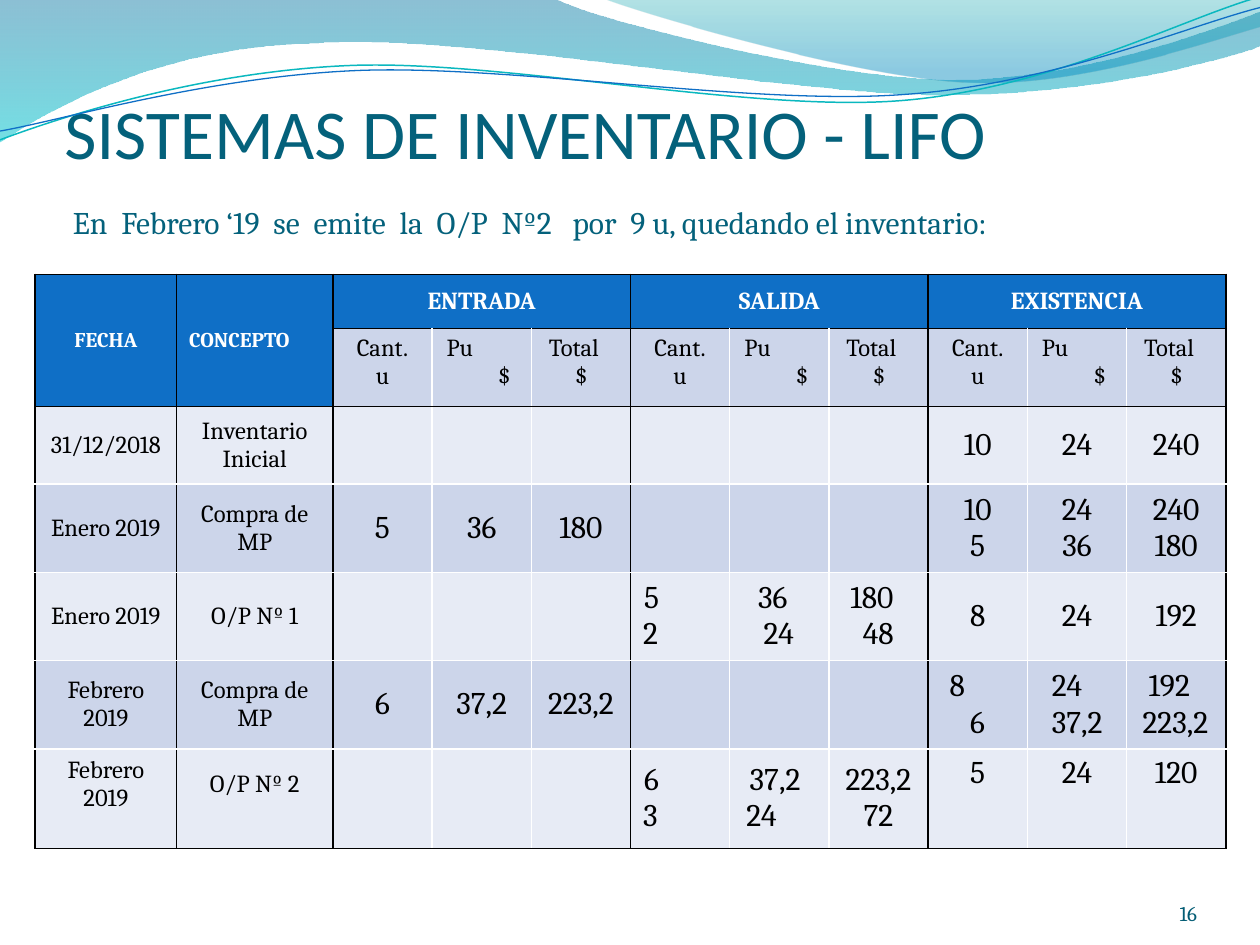
from dataclasses import dataclass
from math import cos, radians, sin

from pptx import Presentation
from pptx.dml.color import RGBColor
from pptx.enum import text as t
from pptx.oxml import ns, parse_xml
from pptx.util import Cm, Pt


@dataclass(frozen=True)
class Theme:
    heading_font: str = "Calibri"
    body_font: str = "Cambria"
    heading: str = "04617B"
    number: str = "045D75"
    header: str = "0F6FC6"
    band_dark: str = "CCD5EA"
    band_light: str = "E7EBF5"
    black: str = "000000"
    white: str = "FFFFFF"
    teal: str = "0AB8BF"
    title_size: int = 40
    large: int = 18
    medium: int = 14
    small: int = 12


THEME = Theme()
CENTER, LEFT, RIGHT = t.PP_ALIGN.CENTER, t.PP_ALIGN.LEFT, t.PP_ALIGN.RIGHT
TOP, MIDDLE, BOTTOM = t.MSO_ANCHOR.TOP, t.MSO_ANCHOR.MIDDLE, t.MSO_ANCHOR.BOTTOM

BROAD_WAVE = [(0, 0), (4.4, -0.01),
              (4.76, 0.17, 6.64, 0.63, 7.58, 0.63), (8.53, 0.63, 9.58, 0.26, 10, 0.09),
              (10.01, 0.36), (9.83, 0.44, 8.7, 0.76, 7.46, 0.75),
              (6.22, 0.75, 3.82, 0.28, 2.57, 0.34), (1.29, 0.36, 0.46, 0.83, -0.01, 1.13)]
RIGHT_WAVE = [(4.79, -0.01), (5.09, 0.11, 6.82, 0.62, 7.69, 0.65),
              (8.56, 0.69, 9.61, 0.32, 10, 0.21), (10, 0)]
TEAL_LINE = [(0, 1.11), (0.48, 0.93, 1.58, 0.57, 2.77, 0.52),
             (3.95, 0.47, 5.93, 0.89, 7.13, 0.8), (8.33, 0.71, 9.38, 0.15, 9.98, -0.02)]
BLUE_LINE = [(0, 1.04), (0.47, 0.96, 1.64, 0.61, 2.83, 0.56),
             (4.03, 0.51, 5.97, 0.84, 7.17, 0.75), (8.36, 0.67, 9.41, 0.21, 10, 0.06)]
RIBBON_TILT = -2.7
RIBBON_PIVOT = (4.99, 0.58)

COLUMN_WIDTHS = [2.85, 3.15] + [2] * 9
ROW_HEIGHTS = [1.09, 1.57, 1.57, 1.68, 1.4, 1.4, 1.4]
GROUP_STARTS, GROUP_ENDS = {0, 1, 2, 5, 8}, {0, 1, 4, 7, 10}
TAB_STOP = 1.15

UNITS = [["Cant.", "u"], [("Pu\v$", 0.04, 1.08)], [("Total\v$", 0.1, 0.63)]]
BLANK = [[], [], []]
INVENTORY = [
    [["FECHA"], [("CONCEPTO", 0, 0)], ["ENTRADA"], [], [], ["SALIDA"], [], [], ["EXISTENCIA"], [], []],
    [[], []] + UNITS * 3,
    [["31/12/2018"], ["Inventario Inicial"]] + BLANK * 2 + [["10"], ["24"], ["240"]],
    [["Enero 2019"], ["Compra de MP"], ["5"], ["36"], ["180"]] + BLANK
    + [["10", "5"], ["24", "36"], ["240", "180"]],
    [["Enero 2019"], ["O/P Nº 1"]] + BLANK
    + [[("5\t2", 0.02, 0)], [("36\v24", 0.32, 0.43)], [("180\v48", 0.18, 0.43)],
       ["8"], ["24"], ["192"]],
    [["Febrero 2019"], ["Compra de MP"], ["6"], ["37,2"], ["223,2"]] + BLANK
    + [[("8\v6", 0.18, 0.59)], [("24\v37,2", 0.24, 0.24)], [("192\v223,2", 0.19, 0.07)]],
    [["Febrero 2019"], ["O/P Nº 2"]] + BLANK
    + [[("6\t3", 0.02, 0)], [("37,2", 0.15, 0.15), ("24", 0.08, 0.08)], ["223,2", "72"],
       ["5"], ["24"], ["120"]],
]


def rgb(code):
    return RGBColor.from_string(code)


def style(paragraph, size, color, font=THEME.body_font, bold=False, align=LEFT):
    paragraph.alignment = align
    paragraph.font.name = font
    paragraph.font.size = Pt(size)
    paragraph.font.bold = bold
    paragraph.font.color.rgb = rgb(color)


def turn(point, degrees):
    angle = radians(degrees)
    dx, dy = (value - center for value, center in zip(point, RIBBON_PIVOT))
    return (RIBBON_PIVOT[0] + dx * cos(angle) - dy * sin(angle),
            RIBBON_PIVOT[1] + dx * sin(angle) + dy * cos(angle))


def add_curve(slide, box, segments, closed, tilt=0):
    left, top, width = box
    scale = width / 10
    points = []
    for segment in segments:
        for pair in zip(segment[::2], segment[1::2]):
            x, y = turn(pair, -tilt)
            points.append((Cm(left + x * scale), Cm(top + y * scale)))
    builder = slide.shapes.build_freeform(*points[0])
    builder.add_line_segments(points[1:], close=closed)
    curve = builder.convert_to_shape()
    vertices = iter(curve._element.xpath(".//a:path/a:lnTo"))
    for segment in segments[1:]:
        first = next(vertices)
        if len(segment) == 6:
            first.tag = ns.qn("a:cubicBezTo")
            for _ in range(2):
                vertex = next(vertices)
                vertex.getparent().remove(vertex)
                first.append(vertex[0])
    curve.rotation = tilt
    curve.shadow.inherit = False
    return curve


def add_waves(slide, box):
    for segments, stops in ((BROAD_WAVE, [(0, "0074A1", 45), (1, "00C6CF", 55)]),
                            (RIGHT_WAVE, [(0, "00A1A9", 30), (0.8, "008BBF", 45)])):
        wave = add_curve(slide, box, segments, True)
        wave.line.fill.background()
        wave.fill.gradient()
        wave.fill.gradient_angle = 270
        for stop, (position, color, _) in zip(wave.fill.gradient_stops, stops):
            stop.position = position
            stop.color.rgb = rgb(color)
        for tint, (_, _, opacity) in zip(wave._element.xpath(".//a:gs/a:srgbClr"), stops):
            tint.append(parse_xml(f'<a:alpha {ns.nsdecls("a")} val="{opacity * 1000}"/>'))
    for segments, color, weight in ((TEAL_LINE, THEME.teal, 0.85), (BLUE_LINE, THEME.header, 0.75)):
        ribbon = add_curve(slide, box, segments, False, RIBBON_TILT)
        ribbon.fill.background()
        ribbon.line.color.rgb = rgb(color)
        ribbon.line.width = Pt(weight)


def add_title(slide, box):
    title = slide.shapes.title
    title.left, title.top, title.width, title.height = (Cm(v) for v in box)
    frame = title.text_frame
    frame.text = "SISTEMAS DE INVENTARIO - LIFO"
    frame.auto_size = t.MSO_AUTO_SIZE.NONE
    frame.vertical_anchor = TOP
    frame.margin_left = frame.margin_right = frame.margin_bottom = 0
    style(frame.paragraphs[0], THEME.title_size, THEME.heading, THEME.heading_font)


def add_label(slide, box, content, size, color, align=LEFT, anchor=TOP, inset=True):
    frame = slide.shapes.add_textbox(*(Cm(v) for v in box)).text_frame
    frame.word_wrap = True
    frame.vertical_anchor = anchor
    if not inset:
        frame.margin_left = frame.margin_right = frame.margin_top = frame.margin_bottom = 0
    frame.text = content
    style(frame.paragraphs[0], size, color, align=align)


def set_borders(cell, row, column):
    dark = {"L": row == 0 or column in GROUP_STARTS, "R": row == 0 or column in GROUP_ENDS,
            "T": row <= 2, "B": row in (0, 1, 6)}
    for side, is_dark in dark.items():
        color = THEME.black if is_dark else THEME.white
        cell._tc.get_or_add_tcPr().append(parse_xml(
            f'<a:ln{side} {ns.nsdecls("a")} w="12700"><a:solidFill>'
            f'<a:srgbClr val="{color}"/></a:solidFill></a:ln{side}>'))


def write_lines(cell, lines, size, color, bold):
    frame = cell.text_frame
    for index, line in enumerate(lines):
        paragraph = frame.add_paragraph() if index else frame.paragraphs[0]
        centered = isinstance(line, str)
        content, first, rest = (line, 0, 0) if centered else line
        paragraph.text = content
        properties = paragraph._p.get_or_add_pPr()
        if not centered:
            properties.set("marL", str(Cm(rest)))
            properties.set("indent", str(Cm(first - rest)))
        if "\t" in content:
            properties.append(parse_xml(
                f'<a:tabLst {ns.nsdecls("a")}><a:tab pos="{Cm(TAB_STOP)}" algn="l"/></a:tabLst>'))
        style(paragraph, size, color, bold=bold, align=CENTER if centered else LEFT)


def add_inventory(slide, box):
    inventory = slide.shapes.add_table(
        len(ROW_HEIGHTS), len(COLUMN_WIDTHS), *(Cm(v) for v in box)).table
    for column, width in zip(inventory.columns, COLUMN_WIDTHS):
        column.width = Cm(width)
    for row, height in zip(inventory.rows, ROW_HEIGHTS):
        row.height = Cm(height)
    for r, entries in enumerate(INVENTORY):
        for c, lines in enumerate(entries):
            cell = inventory.cell(r, c)
            is_header = r == 0 or (r == 1 and c < 2)
            set_borders(cell, r, c)
            cell.fill.solid()
            band = THEME.band_dark if r % 2 else THEME.band_light
            cell.fill.fore_color.rgb = rgb(THEME.header if is_header else band)
            cell.vertical_anchor = TOP if r == 1 or (r == 6 and c >= 8) else MIDDLE
            if r == 6 and c < 2:
                cell.margin_bottom = Cm(0.69)
            size = THEME.large if r > 1 and c > 1 else THEME.medium
            if is_header and c < 2:
                size = THEME.small
            write_lines(cell, lines, size, THEME.white if is_header else THEME.black, is_header)
    for c in (0, 1):
        inventory.cell(0, c).merge(inventory.cell(1, c))
    for c in (2, 5, 8):
        inventory.cell(0, c).merge(inventory.cell(0, c + 2))


def main():
    deck = Presentation()
    deck.slide_width, deck.slide_height = Cm(25.4), Cm(19.05)
    slide = deck.slides.add_slide(deck.slide_layouts[5])
    add_waves(slide, (0, 0, 25.4))
    add_title(slide, (1.3, 1.68, 22.86, 3.18))
    add_label(slide, (22.02, 17.65, 2.11, 1.02), "16", THEME.small, THEME.number,
              RIGHT, BOTTOM, inset=False)
    add_inventory(slide, (0.71, 5.53, 24, 11.61))
    add_label(slide, (1.22, 3.96, 22.43, 1.02),
              "En  Febrero ‘19  se  emite  la  O/P  Nº2   por  9 u, quedando el inventario:",
              THEME.large, THEME.heading)
    deck.save("out.pptx")


if __name__ == "__main__":
    main()
